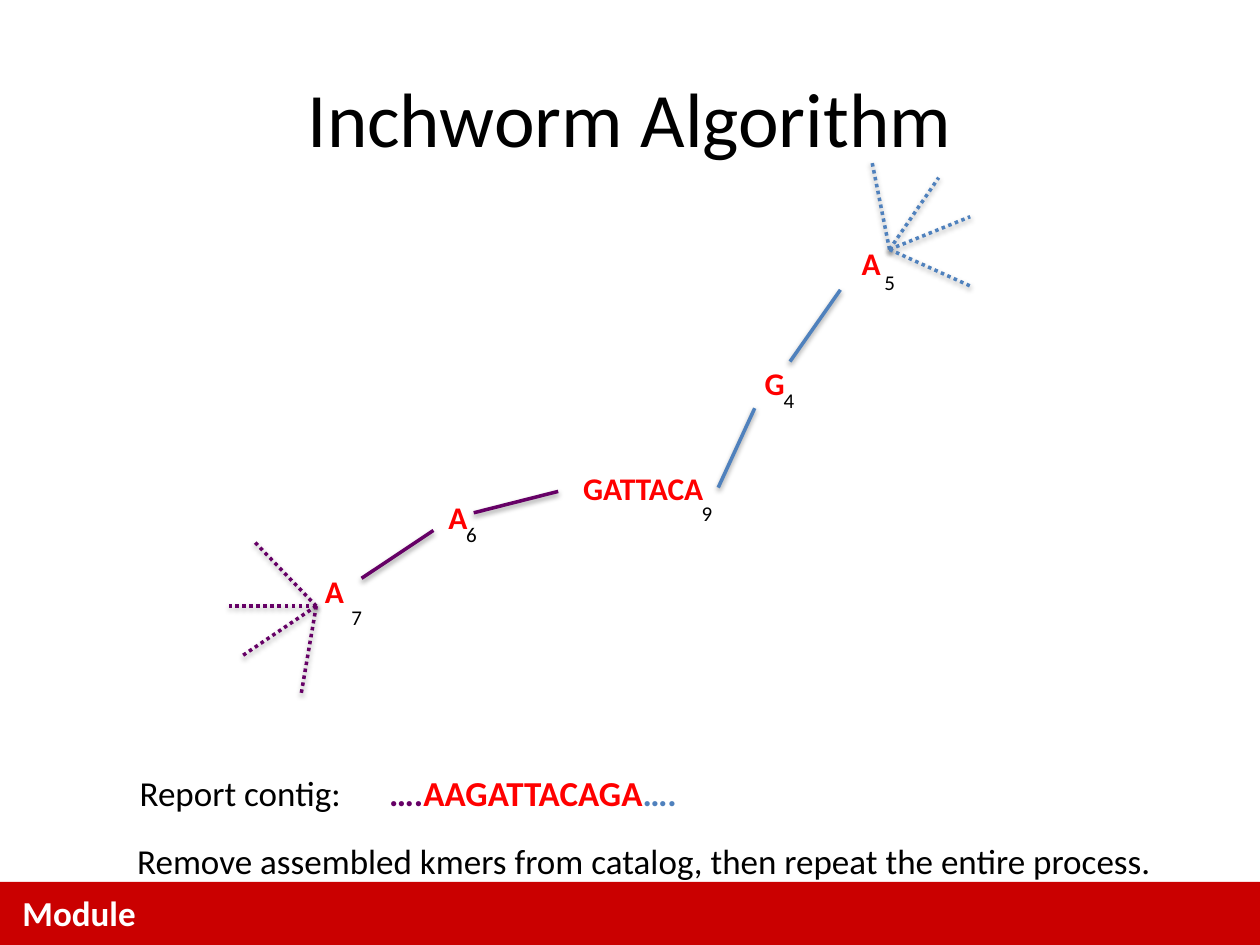
"""Build the Inchworm Algorithm slide: a k-mer graph, its contig and a footer."""
from typing import NamedTuple

from lxml.etree import SubElement
from pptx import Presentation
from pptx.dml.color import RGBColor
from pptx.enum.dml import MSO_LINE_DASH_STYLE as Dash
from pptx.enum.shapes import MSO_CONNECTOR as Link, MSO_SHAPE as Kind
from pptx.enum.text import MSO_ANCHOR as Anchor, MSO_AUTO_SIZE as Fit, PP_ALIGN as Align
from pptx.oxml import parse_xml
from pptx.oxml.ns import nsdecls, qn
from pptx.util import Emu, Inches, Pt

INK = {"black": "000000", "white": "FFFFFF", "red": "FF0000",
       "blue": "4F81BD", "plum": "660066", "bar": "CA0000"}
FACE = "Calibri"
WIDE, HIGH = Inches(10), Inches(7.5)
COLS, ROWS = 100, 75
SHADOW = (f'<a:effectLst {nsdecls("a")}><a:outerShdw blurRad="39000" dist="20000" '
          'dir="5400000" rotWithShape="0"><a:srgbClr val="000000">'
          '<a:alpha val="38000"/></a:srgbClr></a:outerShdw></a:effectLst>')


class Span(NamedTuple):
    text: str
    size: float = 20
    ink: str = "black"
    bold: bool = False


class Box(NamedTuple):
    x: float
    y: float
    w: float
    h: float


class Node(NamedTuple):
    base: str
    box: Box
    count: str
    spot: tuple[float, float]


class Edge(NamedTuple):
    start: tuple[float, float]
    end: tuple[float, float]
    ink: str


class Fan(NamedTuple):
    hub: tuple[float, float]
    tips: list[tuple[float, float]]
    ink: str


NODES = [
    Node("GATTACA", Box(45.3, 36.7, 11.7, 4), "9", (54.7, 39.2)),
    Node("G", Box(59.7, 28.4, 3.6, 4), "4", (61.2, 30.3)),
    Node("A", Box(67.4, 18.9, 3.6, 4), "5", (69.2, 20.9)),
    Node("A", Box(34.6, 39, 3.6, 4), "6", (36, 40.9)),
    Node("A", Box(24.8, 44.9, 3.6, 4), "7", (26.9, 47.5)),
]
EDGES = [
    Edge((57, 38.7), (59.9, 32.4), "blue"),
    Edge((62.7, 28.7), (66.7, 23), "blue"),
    Edge((44.3, 39), (37.6, 40.7), "plum"),
    Edge((34.4, 42.1), (28.7, 45.9), "plum"),
]
FANS = [
    Fan((70.6, 19.8), [(69.2, 12.8), (74.5, 14.1), (77, 17.2), (77, 22.7)], "blue"),
    Fan((25.1, 48.1), [(20.2, 43), (18.2, 48.1), (19.3, 52), (23.9, 55.1)], "plum"),
]


def col(n: float) -> Emu:
    """Turn grid columns into a length."""
    return Emu(round(WIDE * n / COLS))


def row(n: float) -> Emu:
    """Turn grid rows into a length."""
    return Emu(round(HIGH * n / ROWS))


def place(box: Box) -> tuple[Emu, Emu, Emu, Emu]:
    """Turn a grid box into left, top, width and height."""
    return col(box.x), row(box.y), col(box.w), row(box.h)


def style(run, span: Span) -> None:
    """Give a run the look of its span."""
    font = run.font
    font.name, font.size, font.bold = FACE, Pt(span.size), span.bold
    font.color.rgb = RGBColor.from_string(INK[span.ink])


def write(slide, box: Box, spans: list[Span], wrap: bool = False, tab: float = 0):
    """Add a text box that holds one line of spans."""
    shape = slide.shapes.add_textbox(*place(box))
    frame = shape.text_frame
    frame.word_wrap, frame.auto_size = wrap, Fit.SHAPE_TO_FIT_TEXT
    para = frame.paragraphs[0]
    if tab:
        stops = SubElement(para._p.get_or_add_pPr(), qn("a:tabLst"))
        SubElement(stops, qn("a:tab"), pos=str(col(tab)), algn="l")
    for span in spans:
        run = para.add_run()
        run.text = span.text
        style(run, span)
    return shape


def join(slide, edge: Edge, dots: bool = False):
    """Add a shadowed line, solid or dotted."""
    (x1, y1), (x2, y2) = edge.start, edge.end
    line = slide.shapes.add_connector(Link.STRAIGHT, col(x1), row(y1), col(x2), row(y2))
    line.line.width = Pt(2)
    line.line.color.rgb = RGBColor.from_string(INK[edge.ink])
    if dots:
        line.line.dash_style = Dash.ROUND_DOT
    line._element.spPr.append(parse_xml(SHADOW))
    return line


def graph(slide) -> None:
    """Draw the k-mers, their counts, the path and the open ends."""
    seeds = []
    for node in NODES:
        seeds.append(write(slide, node.box, [Span(node.base, 18, "red", True)]))
        write(slide, Box(*node.spot, 2.9, 3), [Span(node.count, 12)])
    lines = [join(slide, edge) for edge in EDGES]
    lines[0].begin_connect(seeds[0], 3)
    for fan in FANS:
        for tip in fan.tips:
            join(slide, Edge(fan.hub, tip, fan.ink), dots=True)


def footer(slide) -> None:
    """Draw the bar with the module label."""
    bar = slide.shapes.add_shape(Kind.RECTANGLE, *place(Box(0, 70, COLS, 5)))
    bar.shadow.inherit = False
    bar.fill.solid()
    bar.fill.fore_color.rgb = RGBColor.from_string(INK["bar"])
    bar.line.fill.background()
    write(slide, Box(0.8, 70.3, 73.3, 4.3), [Span("Module", 20, "white", True)], wrap=True)


def main() -> None:
    """Build and save the slide."""
    deck = Presentation()
    deck.slide_width, deck.slide_height = WIDE, HIGH
    slide = deck.slides.add_slide(deck.slide_layouts[5])
    title = slide.shapes.title
    title.left, title.top, title.width, title.height = place(Box(5, 3, 90, 12.5))
    frame = title.text_frame
    frame.text = "Inchworm Algorithm"
    frame.vertical_anchor = Anchor.MIDDLE
    frame.paragraphs[0].alignment = Align.CENTER
    style(frame.paragraphs[0].runs[0], Span(frame.text, 44))
    graph(slide)
    write(slide, Box(9.9, 66.1, 83.1, 4.4),
          [Span("Remove assembled kmers from catalog, then repeat the entire process.")])
    contig = [Span("Report contig:\t"), Span("….", ink="plum", bold=True),
              Span("AAGATTACAGA", ink="red", bold=True), Span("….", ink="blue", bold=True)]
    write(slide, Box(10.1, 60.7, 45, 4.4), contig, tab=19.8)
    footer(slide)
    deck.save("out.pptx")


if __name__ == "__main__":
    main()
